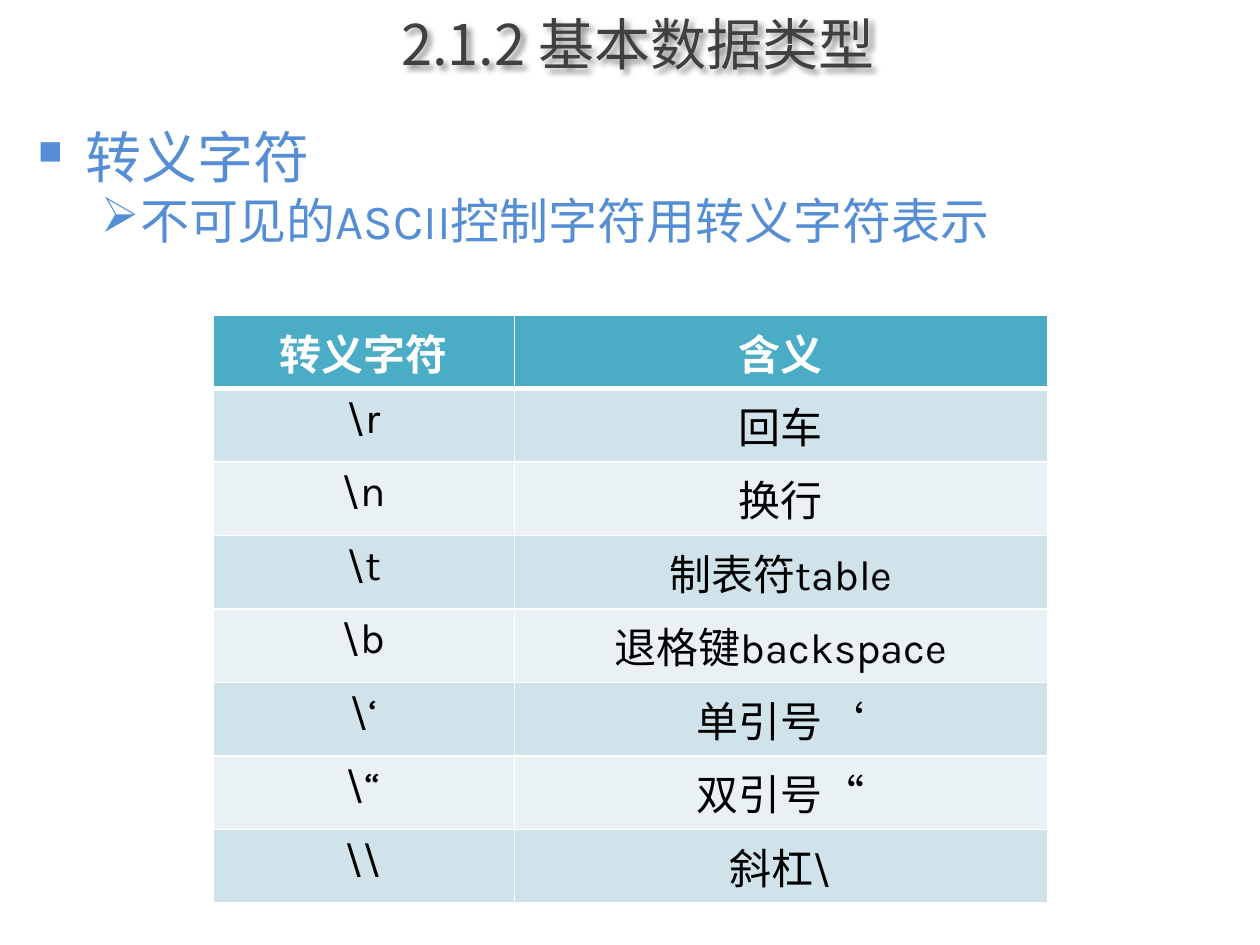
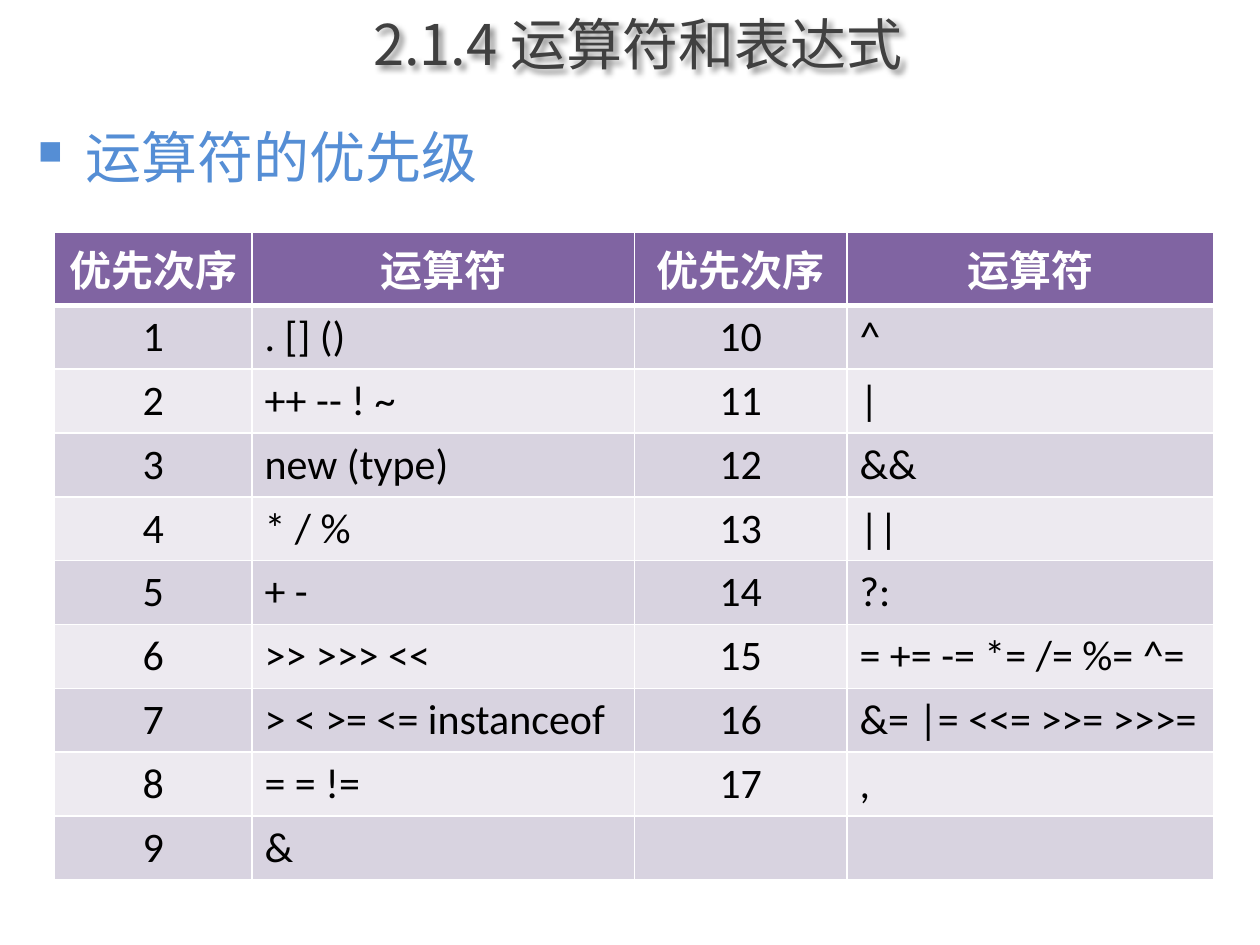
from itertools import zip_longest
from lxml import etree
from pptx import Presentation
from pptx.dml.color import RGBColor
from pptx.enum.text import MSO_ANCHOR, PP_ALIGN
from pptx.oxml.ns import qn
from pptx.util import Pt

MID, LEFT = PP_ALIGN.CENTER, PP_ALIGN.LEFT
MIDDLE = MSO_ANCHOR.MIDDLE
NOTO, KARLA, CALIBRI = "Noto Sans CJK SC", "Karla", "Calibri"
WHITE, BLACK, GREY, BLUE = "FFFFFF", "000000", "404040", "558ED5"

LEVELS = [
    dict(size=32, font=NOTO, left=27, hang=27, mark="■", scale=60),
    dict(size=28, font=KARLA, left=58.5, hang=22.5, mark="➢", scale=100),
]

ESCAPES = [
    ("\\r", "回车"),
    ("\\n", "换行"),
    ("\\t", "制表符table"),
    ("\\b", "退格键backspace"),
    ("\\‘", "单引号‘"),
    ("\\“", "双引号“"),
    ("\\\\", "斜杠\\"),
]

OPS = [
    ". [] ()", "++ -- ! ~", "new (type)", "* / %", "+ -", ">> >>> <<",
    "> < >= <= instanceof", "= = !=", "&", "^", "|", "&&", "||", "?:",
    "= += -= *= /= %= ^=", "&= |= <<= >>= >>>=", ",",
]
RANKS = [(str(n), op) for n, op in enumerate(OPS, 1)]
HALF = 9
RANK_ROWS = [a + b for a, b in
             zip_longest(RANKS[:HALF], RANKS[HALF:], fillvalue=("", ""))]

SLIDES = [
    dict(title="2.1.2 基本数据类型",
         points=[(0, "转义字符"), (1, "不可见的ASCII控制字符用转义字符表示")],
         head=("转义字符", "含义"), rows=ESCAPES, font=KARLA,
         left=122, top=180, widths=(172, 304.5), height=42,
         aligns=(MID, MID), fills=("4BACC6", "D0E3EA", "E9F1F5")),
    dict(title="2.1.4 运算符和表达式",
         points=[(0, "运算符的优先级")],
         head=("优先次序", "运算符") * 2, rows=RANK_ROWS, font=CALIBRI,
         left=31, top=132.5, widths=(113, 218.5, 121.5, 209.5), height=36.5,
         aligns=(MID, LEFT) * 2, fills=("8064A2", "D8D3E0", "EDEAF0")),
]


def color(code):
    return RGBColor.from_string(code)


def add(parent, tag, **attrs):
    return etree.SubElement(parent, qn("a:" + tag),
                            {k: str(v) for k, v in attrs.items()})


def style(para, face, size, code, bold=False):
    font = para.font
    font.name, font.size, font.bold = face, Pt(size), bold
    font.color.rgb = color(code)
    props = para._p.get_or_add_pPr().find(qn("a:defRPr"))
    add(props, "ea", typeface=NOTO)


def text_box(slide, left, top, width, height):
    box = slide.shapes.add_textbox(Pt(left), Pt(top), Pt(width), Pt(height))
    box.text_frame.word_wrap = True
    return box


def add_title(slide, text):
    box = text_box(slide, 52, 0, 625, 49)
    box.text_frame.vertical_anchor = MIDDLE
    para = box.text_frame.paragraphs[0]
    para.text, para.alignment = text, MID
    style(para, NOTO, 32, GREY)
    effects = add(box._element.spPr, "effectLst")
    shade = add(effects, "outerShdw", blurRad=Pt(3), dist=Pt(3),
                dir=2700000, algn="tl", rotWithShape=0)
    add(add(shade, "srgbClr", val=BLACK), "alpha", val=43000)


def add_points(slide, points):
    frame = text_box(slide, 14.5, 71.5, 692, 459).text_frame
    for i, (depth, text) in enumerate(points):
        para = frame.add_paragraph() if i else frame.paragraphs[0]
        level = LEVELS[depth]
        para.text, para.level = text, depth
        para.line_spacing = 0.88
        para.space_before = Pt(4.5 if i else 0)
        props = para._p.get_or_add_pPr()
        props.set("marL", str(Pt(level["left"])))
        props.set("indent", str(-Pt(level["hang"])))
        add(props, "buSzPct", val=level["scale"] * 1000)
        add(props, "buChar", char=level["mark"])
        style(para, level["font"], level["size"], BLUE)


def add_borders(cell, top, bottom):
    props = cell._tc.get_or_add_tcPr()
    for i, (side, width) in enumerate(
            (("lnL", 1), ("lnR", 1), ("lnT", top), ("lnB", bottom))):
        line = etree.Element(qn("a:" + side), w=str(Pt(width)))
        add(add(line, "solidFill"), "srgbClr", val=WHITE)
        props.insert(i, line)


def add_grid(slide, data):
    rows = [data["head"], *data["rows"]]
    widths, height = data["widths"], data["height"]
    main, *bands = data["fills"]
    table = slide.shapes.add_table(
        len(rows), len(widths), Pt(data["left"]), Pt(data["top"]),
        Pt(sum(widths)), Pt(42 + height * (len(rows) - 1))).table
    for col, width in zip(table.columns, widths):
        col.width = Pt(width)
    for r, row in enumerate(rows):
        table.rows[r].height = Pt(height if r else 42)
        for c, text in enumerate(row):
            cell = table.cell(r, c)
            cell.fill.solid()
            cell.fill.fore_color.rgb = color(bands[(r - 1) % 2] if r else main)
            add_borders(cell, 3 if r == 1 else 1, 1 if r else 3)
            para = cell.text_frame.paragraphs[0]
            para.text = text
            para.alignment = data["aligns"][c] if r else MID
            if r:
                style(para, data["font"], 24, BLACK)
            else:
                style(para, CALIBRI, 24, WHITE, True)


def main():
    deck = Presentation()
    deck.slide_width, deck.slide_height = Pt(720), Pt(540)
    for data in SLIDES:
        slide = deck.slides.add_slide(deck.slide_layouts[6])
        add_title(slide, data["title"])
        add_points(slide, data["points"])
        add_grid(slide, data)
    deck.save("out.pptx")


if __name__ == "__main__":
    main()
